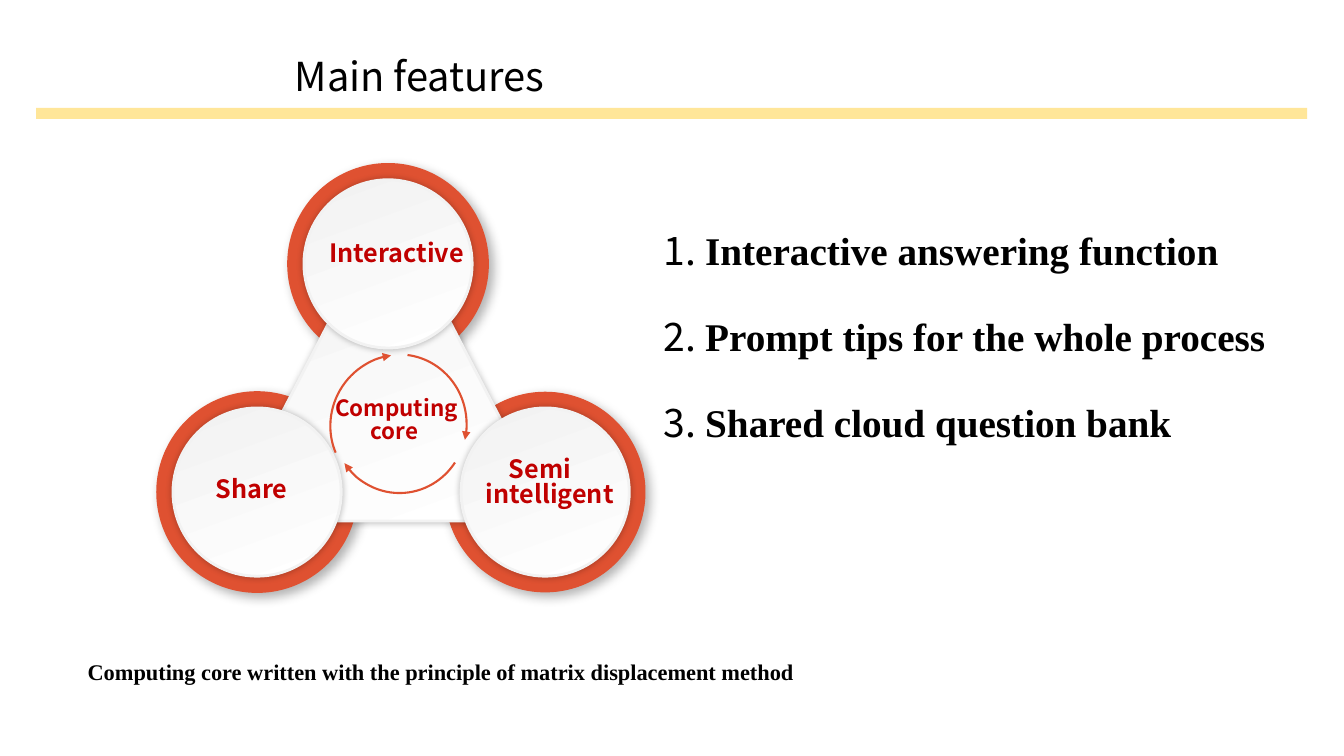
from lxml import etree
from pptx import Presentation
from pptx.dml.color import RGBColor
from pptx.enum.shapes import MSO_SHAPE
from pptx.enum.text import MSO_ANCHOR, PP_ALIGN
from pptx.oxml.ns import qn
from pptx.util import Cm, Pt

RECT, OVAL = MSO_SHAPE.RECTANGLE, MSO_SHAPE.OVAL
TRIANGLE, ARC = MSO_SHAPE.ISOSCELES_TRIANGLE, MSO_SHAPE.ARC
CENTER, LEFT = PP_ALIGN.CENTER, PP_ALIGN.LEFT
TOP, BOTTOM = MSO_ANCHOR.TOP, MSO_ANCHOR.BOTTOM

BLACK = RGBColor(0x00, 0x00, 0x00)
WHITE = RGBColor(0xFF, 0xFF, 0xFF)
PALE = RGBColor(0xF2, 0xF2, 0xF2)
YELLOW = RGBColor(0xFF, 0xE6, 0x99)
ORANGE = RGBColor(0xDF, 0x51, 0x31)
RED = RGBColor(0xC0, 0x00, 0x00)

SANS, SERIF = "Noto Sans CJK SC", "Times New Roman"
RING, DISC = 5.03, 4.24


class Slide:
    def __init__(self, prs):
        self.s = prs.slides.add_slide(prs.slide_layouts[6])
        self.shapes = self.s.shapes

    def start_group(self):
        self.shapes = self.s.shapes.add_group_shape().shapes

    def end_group(self):
        self.shapes = self.s.shapes

    def shape(self, kind, x, y, w, h, fill=None, line=None, width=1.5):
        sp = self.shapes.add_shape(kind, Cm(x), Cm(y), Cm(w), Cm(h))
        sp.shadow.inherit = False
        if fill is None:
            sp.fill.background()
        else:
            sp.fill.solid()
            sp.fill.fore_color.rgb = fill
        if line is None:
            sp.line.fill.background()
        else:
            sp.line.color.rgb = line
            sp.line.width = Pt(width)
        return sp

    def shadow(self, sp, alpha, blur, dist, angle):
        effects = sp._element.spPr.find(qn("a:effectLst"))
        outer = etree.SubElement(effects, qn("a:outerShdw"), blurRad=str(Pt(blur)),
                                 dist=str(Pt(dist)), dir=str(angle * 60000),
                                 algn="ctr", rotWithShape="0")
        color = etree.SubElement(outer, qn("a:srgbClr"), val=str(BLACK))
        etree.SubElement(color, qn("a:alpha"), val=str(alpha * 1000))

    def ring(self, cx, cy, width=1.5):
        sp = self.shape(OVAL, cx - RING / 2, cy - RING / 2, RING, RING,
                        ORANGE, ORANGE, width)
        self.shadow(sp, 30, 8, 4, 45)

    def plate(self, kind, x, y, w, h):
        """Add a raised shape with a white to pale grey gradient."""
        sp = self.shape(kind, x, y, w, h, WHITE, PALE, 2)
        sp.fill.gradient()
        sp.fill.gradient_angle = 110
        for stop, color in zip(sp.fill.gradient_stops, (WHITE, PALE)):
            stop.color.rgb = color
        self.shadow(sp, 26, 5, 0, 0)

    def arc_arrow(self, cx, cy, w, h, start, end, rotation=0):
        """Add a clockwise arc between two angles in degrees."""
        sp = self.shape(ARC, cx - w / 2, cy - h / 2, w, h, line=ORANGE)
        sp.adjustments[0], sp.adjustments[1] = start * 0.6, end * 0.6
        sp.rotation = rotation
        etree.SubElement(sp.line._get_or_add_ln(), qn("a:tailEnd"), type="triangle")

    def text(self, x, y, w, h, paragraphs, size, color=BLACK, align=LEFT,
             anchor=TOP, spacing=None, after=0):
        """Add paragraphs given as (first-line indent, [(text, font, bold)])."""
        tf = self.shapes.add_textbox(Cm(x), Cm(y), Cm(w), Cm(h)).text_frame
        tf.word_wrap = True
        tf.vertical_anchor = anchor
        for i, (indent, runs) in enumerate(paragraphs):
            p = tf.add_paragraph() if i else tf.paragraphs[0]
            p.alignment = align
            p.space_after = Pt(after)
            if spacing:
                p.line_spacing = spacing
            if indent:
                p._p.get_or_add_pPr().set("indent", str(Cm(indent)))
            for words, font, bold in runs:
                r = p.add_run()
                r.text = words
                r.font.name, r.font.size, r.font.bold = font, Pt(size), bold
                r.font.color.rgb = color
                rPr = r._r.get_or_add_rPr()
                etree.SubElement(rPr, qn("a:ea"), typeface=font)

    def label(self, x, y, w, h, lines, size=18):
        paragraphs = [(indent, [(words, SANS, True)]) for indent, words in lines]
        self.text(x, y, w, h, paragraphs, size, RED, spacing=0.83)


def main():
    prs = Presentation()
    prs.slide_width, prs.slide_height = Cm(33.87), Cm(19.05)
    slide = Slide(prs)

    slide.shape(RECT, 0.91, 2.72, 32.03, 0.28, YELLOW)
    slide.text(5.66, 1.42, 9.83, 1.19, [(0, [("Main features", SANS, False)])],
               28.5, align=CENTER, anchor=BOTTOM, spacing=0.7)

    features = ("Interactive answering function",
                "Prompt tips for the whole process",
                "Shared cloud question bank")
    slide.text(16.48, 5.79, 16.51, 7.26,
               [(0, [(f"{n}. ", SANS, False), (feature, SERIF, True)])
                for n, feature in enumerate(features, 1)],
               28, spacing=0.83, after=33.5)

    slide.start_group()
    centers = ((13.74, 12.4), (9.78, 6.65), (6.48, 12.4))
    for (cx, cy), width in zip(centers, (0.75, 1.5, 1.5)):
        slide.ring(cx, cy, width)
    slide.plate(TRIANGLE, 5.69, 5.18, 8.26, 7.95)
    for cx, cy in centers:
        slide.plate(OVAL, cx - DISC / 2, cy - DISC / 2, DISC, DISC)

    slide.arc_arrow(10.07, 10.69, 3.38, 3.51, 276.58, 13.45)
    slide.arc_arrow(10.07, 10.67, 3.38, 3.51, 35.2, 144.12)
    slide.arc_arrow(10.03, 10.68, 3.51, 3.38, 35.2, 144.12, 120)

    slide.label(11.99, 11.43, 3.91, 1.8, [(0.58, "Semi intelligent")])
    slide.label(5.18, 11.94, 3.1, 1.02, [(0, "Share")])
    slide.label(8.05, 5.99, 5.21, 1.02, [(0, "Interactive")])
    slide.label(8.2, 9.93, 4.09, 1.63, [(0, "Computing"), (0.89, "core")], 16)
    slide.end_group()

    slide.text(1.96, 16.46, 18.87, 0.94,
               [(0, [("Computing core written with the principle of "
                      "matrix displacement method", SERIF, True)])], 16)
    prs.save("out.pptx")


if __name__ == "__main__":
    main()
